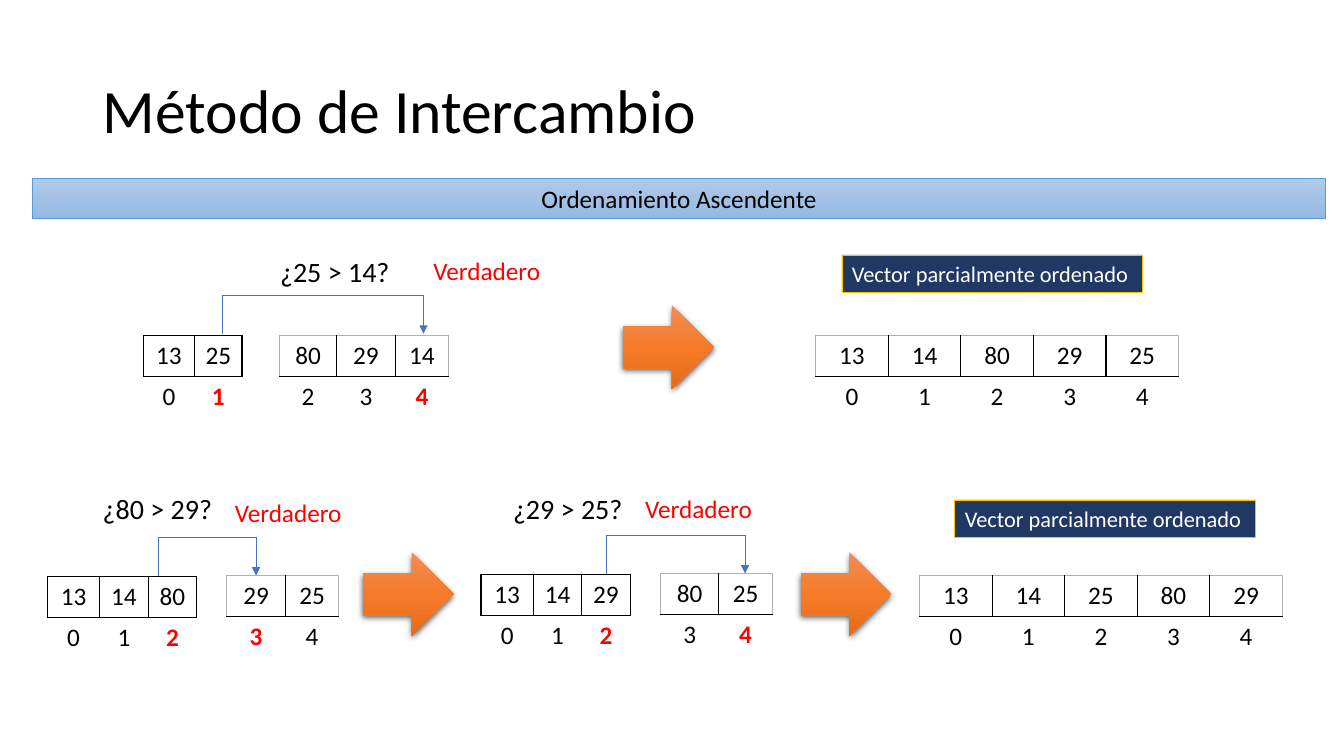
from copy import deepcopy

from lxml import etree
from pptx import Presentation
from pptx.dml.color import RGBColor
from pptx.enum import shapes, text
from pptx.oxml import ns
from pptx.util import Inches, Pt

FONT = "Calibri"
BLACK, RED, WHITE, GRAY = "000000", "FF0000", "FFFFFF", "B0B0B0"
BLUE, NAVY, GOLD = "4472C4", "203864", "FFC000"
ROW_HEIGHT = 0.405
ARROW_GRADIENT = ["F18C57", "F67B28", "E56C19"]
BANNER_GRADIENT = ["B1CBE9", "A3C1E5", "93B9E4"]


def rgb(value):
    return RGBColor.from_string(value)


def box(left, top, width, height):
    return [Inches(length) for length in (left, top, width, height)]


def add_xml(parent, tag, **attributes):
    return etree.SubElement(parent, ns.qn(tag), attributes)


def write(text_frame, content, size, color=BLACK, align=None, bold=False):
    text_frame.text = content
    paragraph = text_frame.paragraphs[0]
    paragraph.alignment = align
    font = paragraph.runs[0].font
    font.name, font.size, font.bold = FONT, Pt(size), bold
    font.color.rgb = rgb(color)


def add_title(slide, content):
    title = slide.shapes.title
    title.left, title.top, title.width, title.height = box(0.92, 0.4, 11.5, 1.45)
    title.text_frame.vertical_anchor = text.MSO_ANCHOR.MIDDLE
    write(title.text_frame, content, 44, align=text.PP_ALIGN.LEFT)
    title.text_frame.paragraphs[0].line_spacing = 0.9


def add_label(slide, content, left, top, width, height, size, color=BLACK, wrap=False):
    label = slide.shapes.add_textbox(*box(left, top, width, height))
    label.text_frame.word_wrap = wrap
    write(label.text_frame, content, size, color)


def fill_gradient(shape, colors):
    shape.fill.gradient()
    shape.fill.gradient_angle = 270
    stop_list = shape.fill._fill._gradFill.gsLst
    stop_list.insert(1, deepcopy(stop_list[0]))
    for stop, color, position in zip(shape.fill.gradient_stops, colors, (0, 0.5, 1)):
        stop.color.rgb = rgb(color)
        stop.position = position


def add_box(slide, content, left, top, width, height, size, color, outline):
    shape = slide.shapes.add_shape(
        shapes.MSO_SHAPE.RECTANGLE, *box(left, top, width, height))
    shape.shadow.inherit = False
    shape.line.color.rgb = rgb(outline)
    shape.line.width = Pt(0.5)
    write(shape.text_frame, content, size, color, text.PP_ALIGN.CENTER)
    return shape


def add_result_tag(slide, left, top):
    tag = add_box(slide, "Vector parcialmente ordenado", left, top, 2.98, 0.37,
                  16, WHITE, GOLD)
    tag.fill.solid()
    tag.fill.fore_color.rgb = rgb(NAVY)
    tag.text_frame.word_wrap = False
    tag.text_frame.paragraphs[0].alignment = text.PP_ALIGN.LEFT


def add_block_arrow(slide, left, top):
    arrow = slide.shapes.add_shape(
        shapes.MSO_SHAPE.RIGHT_ARROW, *box(left, top, 0.9, 0.83))
    fill_gradient(arrow, ARROW_GRADIENT)
    arrow.line.fill.background()
    arrow.shadow.inherit = False
    effects = arrow._element.spPr.find(ns.qn("a:effectLst"))
    shadow = add_xml(effects, "a:outerShdw", blurRad=str(Pt(4.5)), dist=str(Pt(1.5)),
                     dir="5400000", algn="ctr", rotWithShape="0")
    shadow_color = add_xml(shadow, "a:srgbClr", val=BLACK)
    add_xml(shadow_color, "a:alpha", val="63000")


def set_borders(cell, **colors):
    """Draw the sides given a colour (L, R, T, B) and clear the others."""
    properties = cell._tc.get_or_add_tcPr()
    for side in "LRTB":
        border = add_xml(properties, f"a:ln{side}", w=str(Pt(1)))
        if side in colors:
            fill = add_xml(border, "a:solidFill")
            add_xml(fill, "a:srgbClr", val=colors[side])
        else:
            add_xml(border, "a:noFill")


def add_vector(slide, left, top, widths, values, first=0, marked=None, edge=BLACK):
    """Add a row of values over a row of indices, with one index in red."""
    frame = slide.shapes.add_table(
        2, len(values), *box(left, top, sum(widths), 2 * ROW_HEIGHT))
    table = frame.table
    table.first_row = table.horz_banding = False
    for row in table.rows:
        row.height = Inches(ROW_HEIGHT)
    last = len(values) - 1
    for column, (width, value) in enumerate(zip(widths, values)):
        table.columns[column].width = Inches(width)
        index = first + column
        is_marked = index == marked
        value_cell, index_cell = table.cell(0, column), table.cell(1, column)
        write(value_cell.text_frame, str(value), 18, align=text.PP_ALIGN.CENTER)
        write(index_cell.text_frame, str(index), 18, RED if is_marked else BLACK,
              text.PP_ALIGN.CENTER, is_marked)
        set_borders(value_cell, T=edge, B=BLACK,
                    L=edge if column == 0 else BLACK,
                    R=edge if column == last else BLACK)
        set_borders(index_cell, T=BLACK)
        for cell in (value_cell, index_cell):
            cell.fill.background()


def add_swap_path(slide, start, end, top):
    """Link two cells with a bracket that ends in an arrowhead."""
    bottom = top + 0.38
    points = [(start, bottom), (start, top), (end, top), (end, bottom)]
    for (x1, y1), (x2, y2) in zip(points, points[1:]):
        line = slide.shapes.add_connector(
            shapes.MSO_CONNECTOR.STRAIGHT, *box(x1, y1, x2, y2))
        line.line.color.rgb = rgb(BLUE)
        line.line.width = Pt(0.5)
        add_xml(line._element.spPr, "a:effectLst")
    add_xml(line.line._get_or_add_ln(), "a:tailEnd", type="triangle")


def add_comparison(slide, question, left, top, answer_left, answer_top, path):
    add_label(slide, question, left, top, 1.3, 0.44, 20)
    add_label(slide, "Verdadero", answer_left, answer_top, 1.35, 0.4, 18, RED, wrap=True)
    add_swap_path(slide, *path)


def main():
    presentation = Presentation()
    presentation.slide_width, presentation.slide_height = Inches(13.33), Inches(7.5)
    slide = presentation.slides.add_slide(presentation.slide_layouts[5])

    # Heading
    add_title(slide, "Método de Intercambio")
    banner = add_box(slide, "Ordenamiento Ascendente", 0.32, 1.77, 12.83, 0.4,
                     18, BLACK, "5B9BD5")
    fill_gradient(banner, BANNER_GRADIENT)

    # Column widths of the vectors
    three, pair, five = [0.52, 0.48, 0.48], [0.58, 0.53], [0.72] * 5

    # First pass
    add_vector(slide, 1.42, 3.33, [0.51, 0.47], [13, 25], marked=1)
    add_vector(slide, 2.77, 3.33, [0.57, 0.58, 0.53], [80, 29, 14], 2, 4, GRAY)
    add_comparison(slide, "¿25 > 14?", 2.68, 2.48, 4.2, 2.48, (2.21, 4.2, 2.93))
    add_block_arrow(slide, 6.18, 3.03)
    add_result_tag(slide, 8.35, 2.53)
    add_vector(slide, 8.09, 3.33, five, [13, 14, 80, 29, 25], edge=GRAY)

    # Second pass, first swap
    add_vector(slide, 0.47, 5.72, three, [13, 14, 80], marked=2)
    add_vector(slide, 2.25, 5.71, pair, [29, 25], 3, 3, GRAY)
    add_comparison(slide, "¿80 > 29?", 0.92, 4.83, 2.23, 4.88, (1.57, 2.54, 5.33))
    add_block_arrow(slide, 3.6, 5.48)

    # Second pass, second swap
    add_vector(slide, 4.77, 5.7, three, [13, 14, 29], marked=2)
    add_vector(slide, 6.55, 5.69, pair, [80, 25], 3, 4, GRAY)
    add_comparison(slide, "¿29 > 25?", 4.99, 4.83, 6.3, 4.84, (6.01, 7.39, 5.31))
    add_block_arrow(slide, 7.94, 5.48)
    add_result_tag(slide, 9.47, 4.96)
    add_vector(slide, 9.12, 5.71, five, [13, 14, 25, 80, 29], edge=GRAY)

    presentation.save("out.pptx")


if __name__ == "__main__":
    main()
